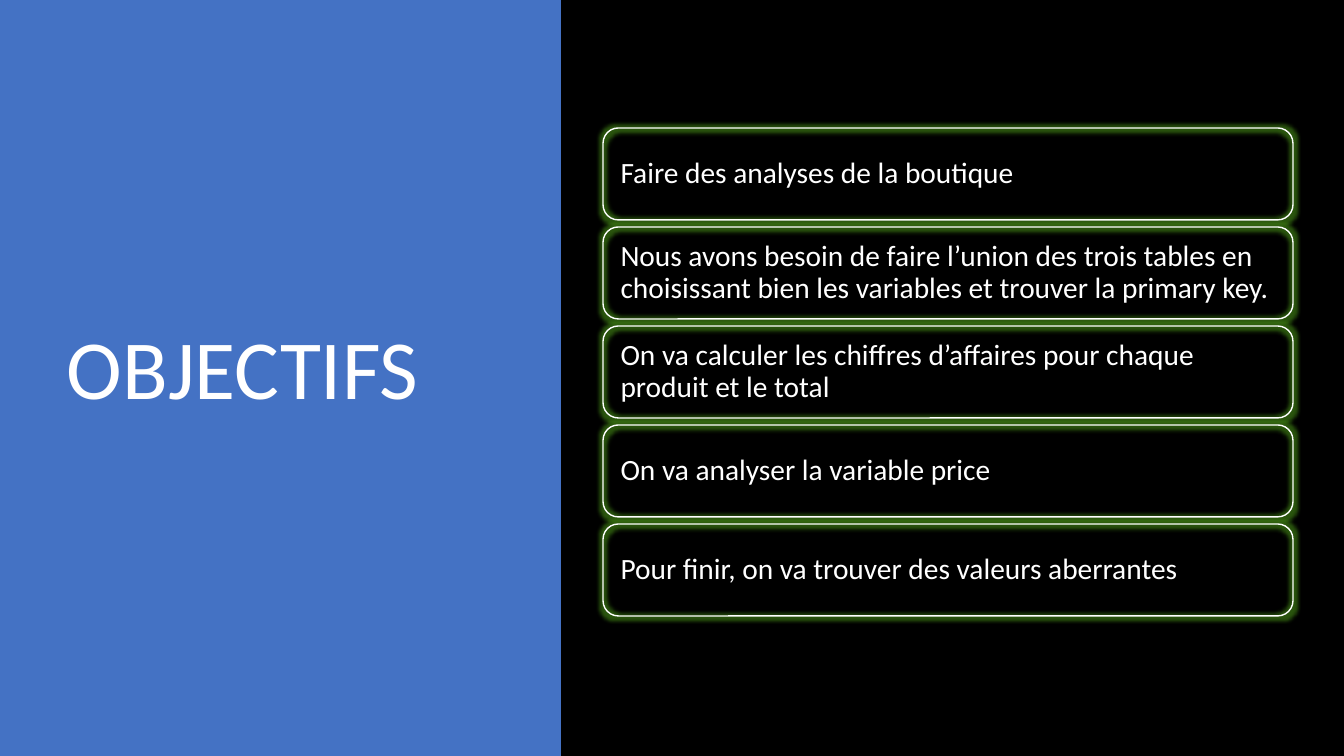
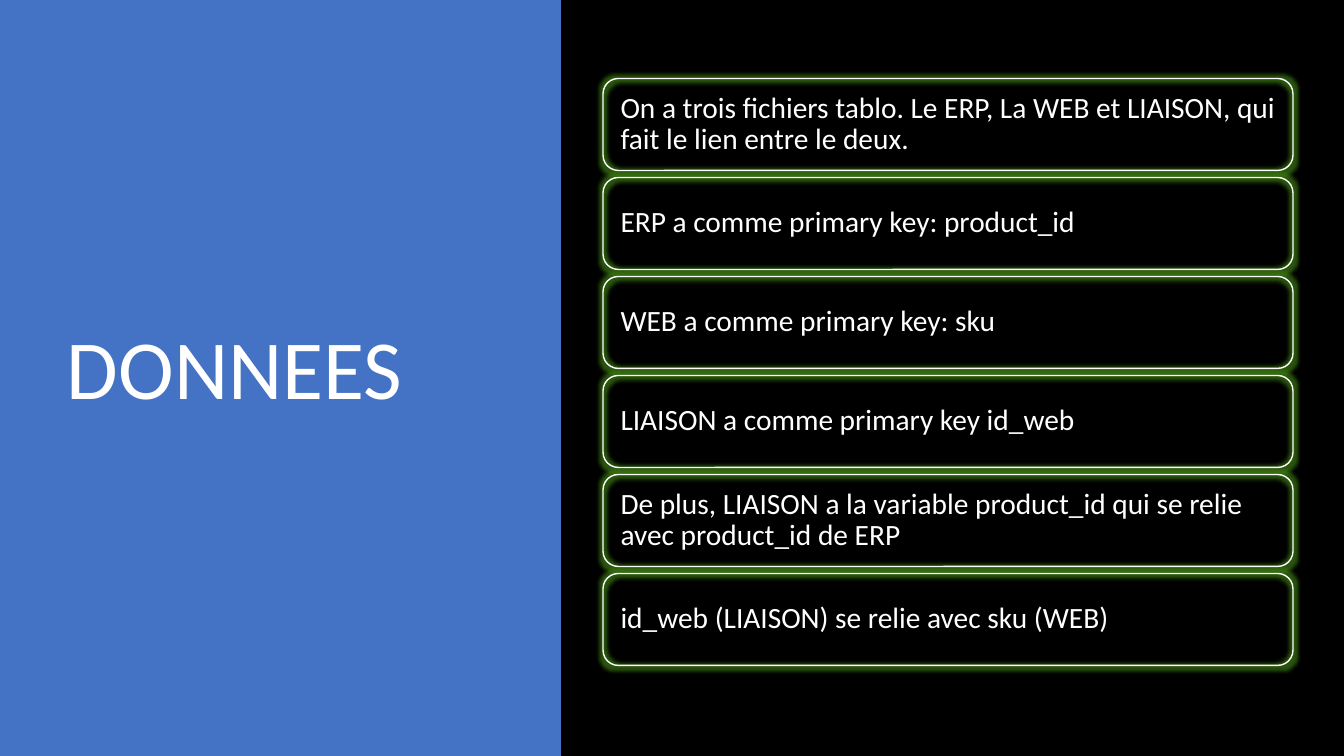
from dataclasses import dataclass

import lxml.etree
import pptx
import pptx.dml.color
import pptx.enum.shapes
import pptx.enum.text
import pptx.oxml.ns
import pptx.presentation
import pptx.shapes.autoshape
import pptx.slide
import pptx.util

EMU_PER_PX = 914400 / 100.8
SLIDE_WIDTH, SLIDE_HEIGHT = 1344, 756
PANEL_WIDTH = 561
CENTER_Y = 372
CARD_LEFT, CARD_WIDTH, CARD_HEIGHT, CARD_GAP = 603, 690, 92, 7
CARD_MARGIN = 13
GLOW_RADIUS = 7
FONT = "Calibri"
COLORS = {
    "background": "000000",
    "panel": "4472C4",
    "text": "FFFFFF",
    "outline": "FFFFFF",
    "glow": "70AD47",
}


@dataclass(frozen=True)
class ListSlide:
    title: str
    items: tuple[str, ...]


SLIDES = (
    ListSlide("OBJECTIFS", (
        "Faire des analyses de la boutique",
        "Nous avons besoin de faire l’union des trois tables en choisissant bien les variables et trouver la primary key.",
        "On va calculer les chiffres d’affaires pour chaque produit et le total",
        "On va analyser la variable price",
        "Pour finir, on va trouver des valeurs aberrantes",
    )),
    ListSlide("DONNEES", (
        "On a trois fichiers tablo. Le ERP, La WEB et LIAISON, qui fait le lien entre le deux.",
        "ERP a comme primary key: product_id",
        "WEB a comme primary key: sku",
        "LIAISON a comme primary key id_web",
        "De plus, LIAISON a la variable product_id qui se relie avec product_id de ERP",
        "id_web (LIAISON) se relie avec sku (WEB)",
    )),
)


def px(length: float) -> pptx.util.Emu:
    return pptx.util.Emu(round(length * EMU_PER_PX))


def color(name: str) -> pptx.dml.color.RGBColor:
    return pptx.dml.color.RGBColor.from_string(COLORS[name])


def write_text(shape: pptx.shapes.autoshape.Shape, text: str, size: int, margin: int) -> None:
    frame = shape.text_frame
    frame.text = text
    frame.word_wrap = True
    frame.vertical_anchor = pptx.enum.text.MSO_ANCHOR.MIDDLE
    frame.margin_left = frame.margin_right = px(margin)
    paragraph = frame.paragraphs[0]
    paragraph.alignment = pptx.enum.text.PP_ALIGN.LEFT
    paragraph.line_spacing = 0.9
    font = paragraph.runs[0].font
    font.name = FONT
    font.size = pptx.util.Pt(size)
    font.color.rgb = color("text")


def add_glow(shape: pptx.shapes.autoshape.Shape) -> None:
    qualified = pptx.oxml.ns.qn
    effects = shape.element.spPr.find(qualified("a:effectLst"))
    glow = lxml.etree.SubElement(effects, qualified("a:glow"), rad=str(px(GLOW_RADIUS)))
    tint = lxml.etree.SubElement(glow, qualified("a:srgbClr"), val=COLORS["glow"])
    lxml.etree.SubElement(tint, qualified("a:satMod"), val="175000")
    lxml.etree.SubElement(tint, qualified("a:alpha"), val="40000")


def add_panel(slide: pptx.slide.Slide, title: str) -> None:
    panel = slide.shapes.add_shape(
        pptx.enum.shapes.MSO_SHAPE.RECTANGLE, 0, 0, px(PANEL_WIDTH), px(SLIDE_HEIGHT))
    panel.shadow.inherit = False
    panel.fill.solid()
    panel.fill.fore_color.rgb = color("panel")
    panel.line.fill.background()
    title_box = slide.shapes.add_textbox(px(57), px(69), px(419), px(2 * (CENTER_Y - 69)))
    write_text(title_box, title, 60, 10)


def add_card(slide: pptx.slide.Slide, top: float, text: str) -> None:
    card = slide.shapes.add_shape(
        pptx.enum.shapes.MSO_SHAPE.ROUNDED_RECTANGLE,
        px(CARD_LEFT), px(top), px(CARD_WIDTH), px(CARD_HEIGHT))
    card.shadow.inherit = False
    card.fill.background()
    card.line.color.rgb = color("outline")
    card.line.width = pptx.util.Pt(1)
    add_glow(card)
    write_text(card, text, 21, CARD_MARGIN)


def add_list_slide(presentation: pptx.presentation.Presentation, content: ListSlide) -> None:
    slide = presentation.slides.add_slide(presentation.slide_layouts[6])
    slide.background.fill.solid()
    slide.background.fill.fore_color.rgb = color("background")
    add_panel(slide, content.title)
    pitch = CARD_HEIGHT + CARD_GAP
    first_top = CENTER_Y - (len(content.items) * pitch - CARD_GAP) / 2
    for index, item in enumerate(content.items):
        add_card(slide, first_top + index * pitch, item)


def main() -> None:
    presentation = pptx.Presentation()
    presentation.slide_width = px(SLIDE_WIDTH)
    presentation.slide_height = px(SLIDE_HEIGHT)
    for content in SLIDES:
        add_list_slide(presentation, content)
    presentation.save("out.pptx")


if __name__ == "__main__":
    main()
